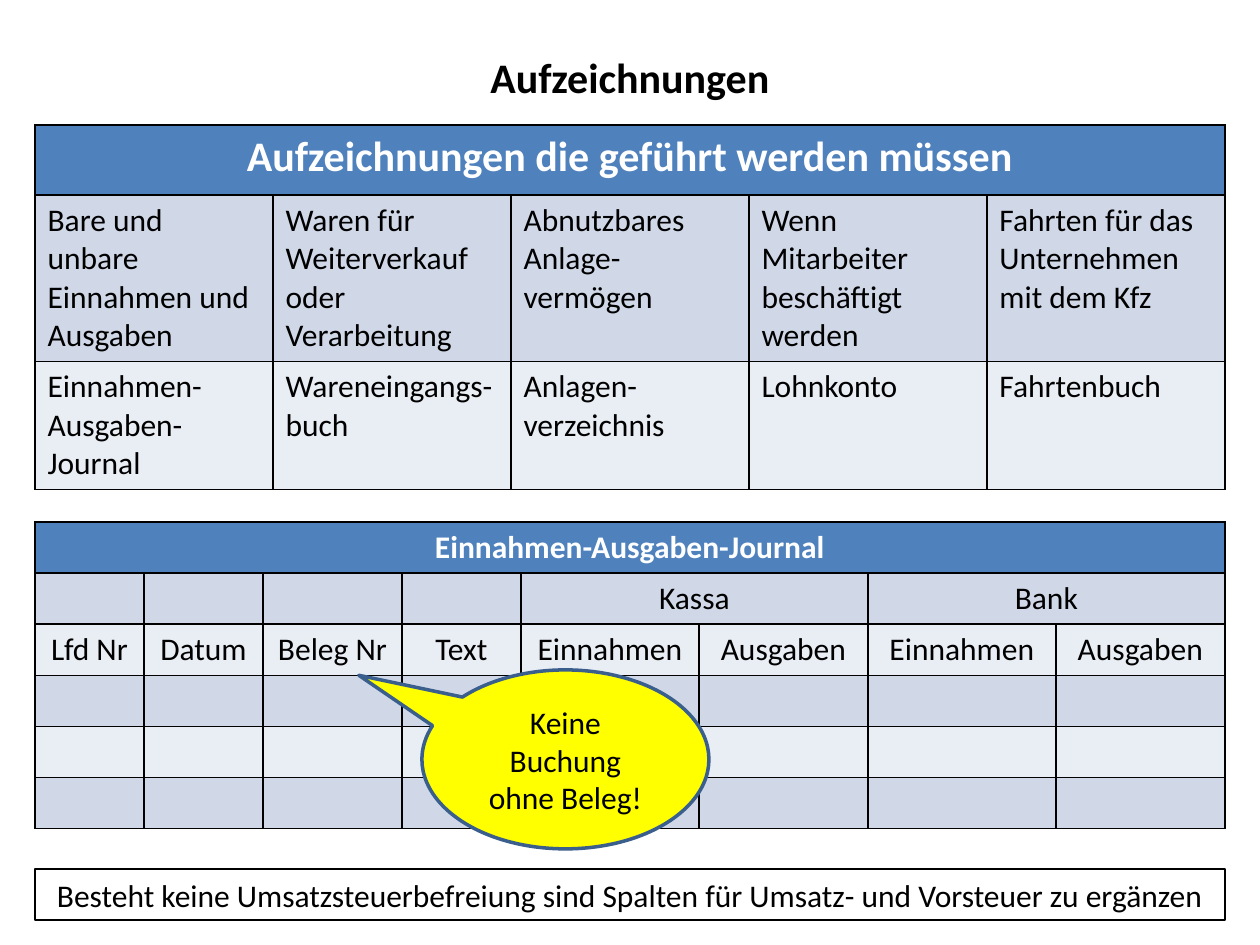
import pptx
import pptx.util
import pptx.dml.color
import pptx.enum.shapes
import pptx.enum.text
import pptx.oxml

SCALE = 914400 / 126
HUES = {
    "black": "000000", "white": "FFFFFF", "head": "4F81BD",
    "dark": "D0D8E8", "light": "E9EDF4", "yellow": "FFFF00", "edge": "3A5F8C",
}
LEFT, WIDTH = 35, 1190
ALIGN = pptx.enum.text.PP_ALIGN
SHAPES = pptx.enum.shapes.MSO_SHAPE

DUTIES = [
    ["Aufzeichnungen die geführt werden müssen"],
    ["Bare und unbare Einnahmen und Ausgaben",
     "Waren für Weiterverkauf oder Verarbeitung",
     "Abnutzbares Anlage-vermögen",
     "Wenn Mitarbeiter beschäftigt werden",
     "Fahrten für das Unternehmen mit dem Kfz"],
    ["Einnahmen- Ausgaben-Journal", "Wareneingangs-buch",
     "Anlagen-\nverzeichnis", "Lohnkonto", "Fahrtenbuch"],
]
JOURNAL = [
    ["Einnahmen-Ausgaben-Journal"],
    ["", "", "", "", "Kassa", "", "Bank", ""],
    ["Lfd Nr", "Datum", "Beleg Nr", "Text"] + ["Einnahmen", "Ausgaben"] * 2,
    [], [], [],
]


def px(count):
    return pptx.util.Emu(round(count * SCALE))


def hue(name):
    return pptx.dml.color.RGBColor.from_string(HUES[name])


def style(frame, size=18, color="black", bold=False, align=ALIGN.CENTER):
    for par in frame.paragraphs:
        par.alignment = align
        font = par.font
        font.name, font.size, font.bold = "Calibri", pptx.util.Pt(size), bold
        font.color.rgb = hue(color)


def border(cell):
    """Draw a 1 pt black line on all four sides; call before filling."""
    props = cell._tc.get_or_add_tcPr()
    names = pptx.oxml.ns.nsdecls("a")
    for side in "LRTB":
        props.append(pptx.oxml.parse_xml(
            f'<a:ln{side} {names} w="12700"><a:solidFill>'
            f'<a:srgbClr val="{HUES["black"]}"/></a:solidFill></a:ln{side}>'))


def add_grid(slide, top, cols, rows, texts, align, size):
    """Add a table whose first row is one merged heading of the given size."""
    frame = slide.shapes.add_table(
        len(rows), len(cols), px(LEFT), px(top), px(sum(cols)), px(sum(rows)))
    table = frame.table
    table.first_row = table.horz_banding = False
    for col, wide in zip(table.columns, cols):
        col.width = px(wide)
    for r, high in enumerate(rows):
        table.rows[r].height = px(high)
        shade = "head" if r == 0 else "dark" if r % 2 else "light"
        for c in range(len(cols)):
            cell = table.cell(r, c)
            border(cell)
            cell.fill.solid()
            cell.fill.fore_color.rgb = hue(shade)
            cell.text = texts[r][c] if c < len(texts[r]) else ""
            if r == 0:
                style(cell.text_frame, size, "white", True)
            else:
                style(cell.text_frame, align=align)
    table.cell(0, 0).merge(table.cell(0, len(cols) - 1))
    return table


def add_box(slide, kind, box, text, line, width, fill=None):
    shape = slide.shapes.add_shape(kind, *map(px, box))
    shape.shadow.inherit = False
    if fill:
        shape.fill.solid()
        shape.fill.fore_color.rgb = hue(fill)
    else:
        shape.fill.background()
    shape.line.color.rgb = hue(line)
    shape.line.width = pptx.util.Pt(width)
    shape.text_frame.word_wrap = True
    shape.text_frame.text = text
    style(shape.text_frame)
    return shape


def add_title(slide, text):
    title = slide.shapes.title
    title.left, title.top, title.width, title.height = map(
        px, (LEFT, 45, WIDTH, 63))
    title.text_frame.text = text
    style(title.text_frame, 24, bold=True)


def main():
    deck = pptx.Presentation()
    deck.slide_width, deck.slide_height = px(1260), px(945)
    slide = deck.slides.add_slide(deck.slide_layouts[5])
    add_title(slide, "Aufzeichnungen")

    add_grid(slide, 125, [WIDTH // 5] * 5, [70, 164, 126], DUTIES,
             ALIGN.LEFT, 24)
    journal = add_grid(slide, 522, [109, 119, 139, 119, 178, 169, 188, 169],
                       [51] * 6, JOURNAL, ALIGN.CENTER, 18)
    for col in (4, 6):
        journal.cell(1, col).merge(journal.cell(1, col + 1))

    call = add_box(slide, SHAPES.OVAL_CALLOUT, (422, 670, 287, 179),
                   "Keine Buchung ohne Beleg!", "edge", 2, "yellow")
    call.adjustments[0], call.adjustments[1] = -0.72, -0.47
    add_box(slide, SHAPES.RECTANGLE, (LEFT, 869, WIDTH, 51),
            "Besteht keine Umsatzsteuerbefreiung sind Spalten für "
            "Umsatz- und Vorsteuer zu ergänzen", "black", 0.75)
    deck.save("out.pptx")


if __name__ == "__main__":
    main()
